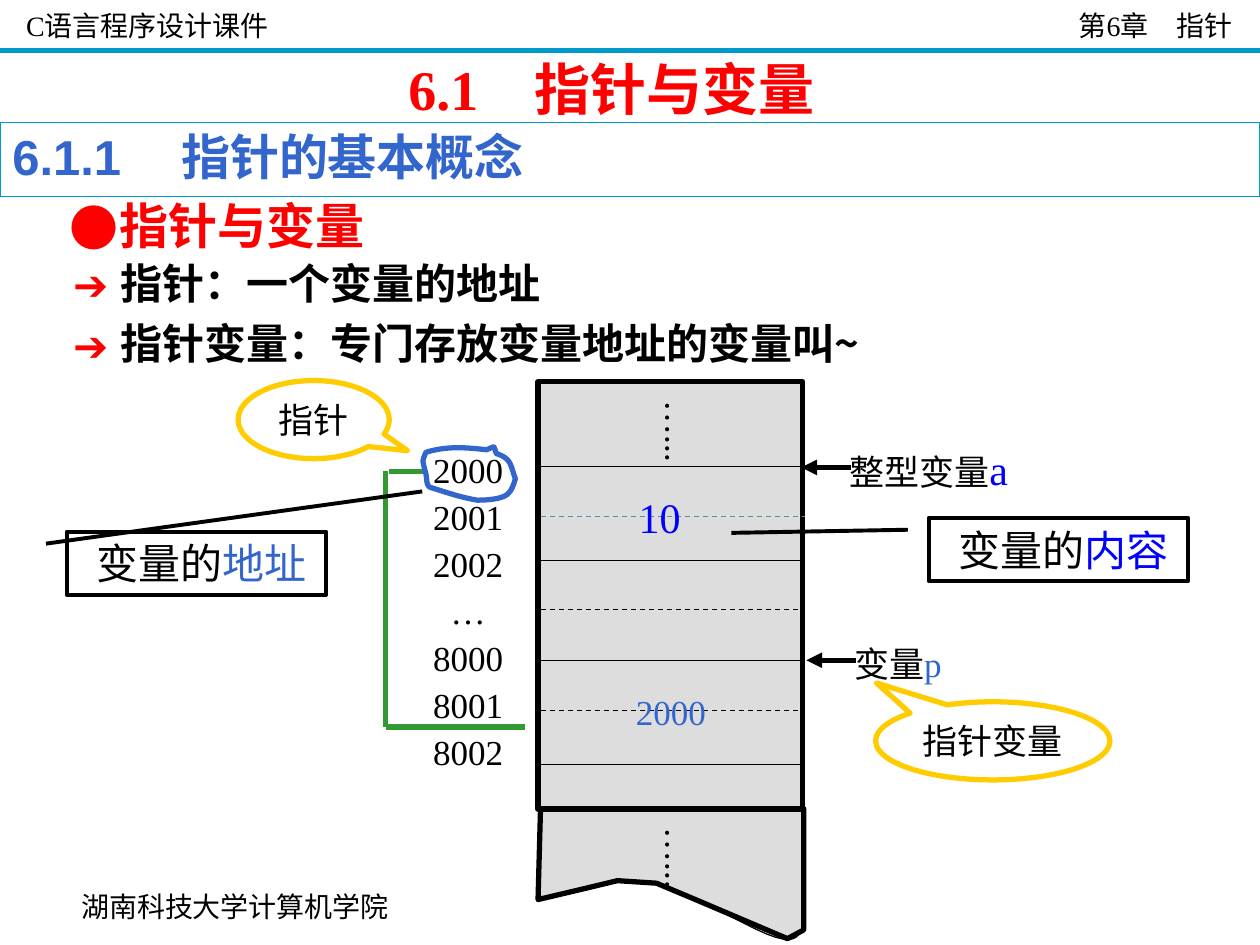
from lxml import etree
from pptx import Presentation
from pptx.dml.color import RGBColor
from pptx.enum.dml import MSO_LINE
from pptx.enum.shapes import MSO_CONNECTOR, MSO_SHAPE
from pptx.enum.text import MSO_ANCHOR, MSO_AUTO_SIZE, PP_ALIGN
from pptx.oxml.ns import qn
from pptx.util import Inches, Pt

LEFT, CENTER, RIGHT = PP_ALIGN.LEFT, PP_ALIGN.CENTER, PP_ALIGN.RIGHT
TOP, MIDDLE = MSO_ANCHOR.TOP, MSO_ANCHOR.MIDDLE
RECTANGLE = MSO_SHAPE.RECTANGLE
BALLOON = MSO_SHAPE.OVAL_CALLOUT
LINE_CALLOUT = MSO_SHAPE.LINE_CALLOUT_1
DASH = MSO_LINE.DASH

SERIF, SANS, CJK = "Times New Roman", "Arial", "Noto Sans CJK SC"
COLORS = {
    "black": "000000", "red": "FF0000", "blue": "0000FF", "accent": "3366CC",
    "rule": "0099CC", "steel": "5490A8", "memory": "DDDDDD",
    "balloon": "FFCC00", "bracket": "339933",
}


def color(name):
    return RGBColor.from_string(COLORS[name])


def bezier_points(start, curves, steps=10):
    """Sample a chain of cubic curves, each given as (control, control, end)."""
    points = [start]
    for first, second, end in curves:
        begin = points[-1]
        for step in range(1, steps + 1):
            t = step / steps
            weights = ((1 - t) ** 3, 3 * t * (1 - t) ** 2, 3 * t * t * (1 - t), t ** 3)
            corners = (begin, first, second, end)
            points.append(tuple(sum(w * corner[axis] for w, corner in zip(weights, corners))
                                for axis in (0, 1)))
    return points


class SlideBuilder:
    def __init__(self, slide):
        self.slide = slide
        self.shapes = slide.shapes

    def format_run(self, run, size, color_name, font=SERIF, bold=False):
        run.font.size = Pt(size)
        run.font.bold = bold
        run.font.name = font
        run.font.color.rgb = color(color_name)
        etree.SubElement(run.font._element, qn("a:ea")).set("typeface", CJK)

    def fill_text(self, shape, paragraphs, align=LEFT, anchor=MIDDLE, wrap=True,
                  bullet=None, indent=0.38, inset=0.1, top_inset=0.05):
        """Each paragraph is a list of (text, size, color, font, bold) runs."""
        frame = shape.text_frame
        frame.auto_size = MSO_AUTO_SIZE.NONE
        frame.word_wrap = wrap
        frame.vertical_anchor = anchor
        frame.margin_left, frame.margin_right = Inches(inset), Inches(0.1)
        frame.margin_top, frame.margin_bottom = Inches(top_inset), Inches(0.05)
        for index, runs in enumerate(paragraphs):
            paragraph = frame.add_paragraph() if index else frame.paragraphs[0]
            if bullet:
                self.add_bullet(paragraph, bullet, indent)
            paragraph.alignment = align
            paragraph.space_before = Pt(6 if index else 0)
            for text, *style in runs:
                run = paragraph.add_run()
                run.text = text
                self.format_run(run, *style)

    def add_bullet(self, paragraph, character, indent):
        properties = paragraph._p.get_or_add_pPr()
        properties.set("marL", str(Inches(indent)))
        properties.set("indent", str(-Inches(indent)))
        bullet_color = etree.SubElement(properties, qn("a:buClr"))
        etree.SubElement(bullet_color, qn("a:srgbClr")).set("val", COLORS["red"])
        etree.SubElement(properties, qn("a:buFont")).set("typeface", CJK)
        etree.SubElement(properties, qn("a:buChar")).set("char", character)

    def placeholder(self, index, left, top, width, height, paragraphs, **options):
        shape = self.slide.placeholders[index]
        shape.left, shape.top = Inches(left), Inches(top)
        shape.width, shape.height = Inches(width), Inches(height)
        self.fill_text(shape, paragraphs, **options)

    def text(self, left, top, width, height, runs, **options):
        shape = self.shapes.add_textbox(Inches(left), Inches(top), Inches(width), Inches(height))
        self.fill_text(shape, [runs], **options)
        return shape

    def vertical_text(self, *position, runs):
        shape = self.text(*position, runs, align=CENTER, wrap=False)
        shape.text_frame._txBody.bodyPr.set("vert", "eaVert")

    def paint(self, shape, line, weight, fill=None):
        shape.shadow.inherit = False
        if fill:
            shape.fill.solid()
            shape.fill.fore_color.rgb = color(fill)
        else:
            shape.fill.background()
        shape.line.color.rgb = color(line)
        shape.line.width = Pt(weight)

    def box(self, kind, left, top, width, height, line, weight,
            fill=None, runs=None, adjustments=(), **options):
        shape = self.shapes.add_shape(kind, Inches(left), Inches(top),
                                      Inches(width), Inches(height))
        for index, value in enumerate(adjustments):
            shape.adjustments[index] = value
        self.paint(shape, line, weight, fill)
        if runs:
            self.fill_text(shape, [runs], **options)

    def outline(self, points, line, weight, fill=None, close=True):
        points = [(Inches(x), Inches(y)) for x, y in points]
        builder = self.shapes.build_freeform(*points[0])
        builder.add_line_segments(points[1:], close=close)
        self.paint(builder.convert_to_shape(), line, weight, fill)

    def line(self, x1, y1, x2, y2, line="black", weight=0.75, dash=None, arrow=False):
        connector = self.shapes.add_connector(
            MSO_CONNECTOR.STRAIGHT, Inches(x1), Inches(y1), Inches(x2), Inches(y2))
        connector.line.color.rgb = color(line)
        connector.line.width = Pt(weight)
        if dash:
            connector.line.dash_style = dash
        if arrow:
            etree.SubElement(connector.line._get_or_add_ln(), qn("a:tailEnd")).set("type", "triangle")
        etree.SubElement(connector._element.spPr, qn("a:effectLst"))


def add_headings(builder):
    builder.line(0, 0.4, 10, 0.4, "rule", 3)
    builder.text(0.11, 0.02, 4, 0.36, [("C语言程序设计课件", 16, "black")])
    builder.text(5.88, 0.02, 4, 0.36, [("第6章　指针", 16, "black")], align=RIGHT)
    builder.text(0.45, 6.94, 2.83, 0.5, [("湖南科技大学计算机学院", 16, "black")],
                 align=CENTER, wrap=False)
    builder.placeholder(0, 3.14, 0.38, 4.56, 0.64,
                        [[("6.1　指针与变量", 32, "red", SERIF, True)]], anchor=TOP)
    builder.box(RECTANGLE, 0, 0.97, 10, 0.59, "rule", 0.75, top_inset=0,
                runs=[("6.1.1　 ", 28, "accent", SANS, True),
                      ("指针的基本概念", 28, "accent", CJK, True)])
    builder.text(0.45, 1.5, 8.78, 0.57, [("指针与变量", 28, "red", CJK, True)],
                 bullet="●", indent=0.4)
    definitions = ["指针：一个变量的地址", "指针变量：专门存放变量地址的变量叫~"]
    builder.placeholder(1, 0.48, 1.99, 7.42, 1.07,
                        [[(text, 24, "black", CJK, True)] for text in definitions],
                        anchor=TOP, bullet="➔")


def add_memory(builder):
    wave = bezier_points((4.27, 7.15), [
        ((4.55, 7.05), (4.82, 6.95), (5.14, 7)),
        ((5.45, 7.05), (5.95, 7.38), (6.16, 7.44)),
        ((6.37, 7.5), (6.34, 7.37), (6.37, 7.35))])
    builder.outline(wave, "black", 0.75, close=False)
    torn_end = [(4.29, 6.42), (6.38, 6.42), (6.38, 7.38), (6.25, 7.45), (5.52, 7.14),
                (5.21, 7.01), (4.9, 6.99), (4.65, 7.05), (4.27, 7.14)]
    builder.outline(torn_end, "black", 3, "memory")
    builder.box(RECTANGLE, 4.27, 3.03, 2.1, 3.39, "black", 3, "memory")
    for y in (3.7, 4.45, 5.24, 6.07):
        builder.line(4.29, y, 6.39, y)
    for y, name in ((4.1, "steel"), (4.84, "black"), (5.64, "black")):
        builder.line(4.29, y, 6.39, y, name, dash=DASH)
    for top in (3.08, 6.47):
        builder.vertical_text(5.13, top, 0.53, 0.59, runs=[("…...", 20, "black")])
    addresses = ["2000", "2001", "2002", "…", "8000", "8001", "8002"]
    for row, address in enumerate(addresses):
        builder.text(3.34, 3.51 + row * 0.372, 0.75, 0.44, [(address, 20, "black")],
                     align=CENTER, wrap=False)
    builder.text(4.97, 3.85, 0.53, 0.5, [("10", 24, "blue")], align=CENTER, wrap=False)
    builder.text(4.95, 5.43, 0.75, 0.44, [("2000", 20, "accent")], align=CENTER, wrap=False)


def add_annotations(builder):
    builder.line(6.75, 3.71, 6.36, 3.71, weight=3, arrow=True)
    builder.text(6.64, 3.47, 1.6, 0.5, [("整型变量", 20, "black"), ("a", 24, "blue")], anchor=TOP)
    builder.line(6.79, 5.24, 6.4, 5.24, weight=3, arrow=True)
    builder.text(6.68, 5.05, 1.05, 0.44, [("变量", 20, "black"), ("p", 20, "accent")], anchor=TOP)
    for left, top, width, label, tip in ((1.89, 3.02, 1.2, "指针", (0.621, 0.398)),
                                         (6.95, 5.57, 1.86, "指针变量", (-0.496, -0.741))):
        builder.box(BALLOON, left, top, width, 0.62, "balloon", 3, adjustments=tip,
                    runs=[(label, 20, "black")], align=CENTER, wrap=False)
    for ends in ((3.36, 3.74, 3.09, 3.74), (3.06, 3.74, 3.06, 5.77), (3.06, 5.77, 4.17, 5.77)):
        builder.line(*ends, "bracket", 3)
    address_ring = bezier_points((3.86, 3.57), [
        ((3.69, 3.55), (3.54, 3.54), (3.38, 3.59)), ((3.35, 3.67), (3.35, 3.64), (3.38, 3.76)),
        ((3.39, 3.8), (3.38, 3.86), (3.42, 3.87)), ((3.55, 3.91), (3.66, 3.95), (3.79, 3.97)),
        ((3.82, 3.97), (4, 3.97), (4.04, 3.91)), ((4.07, 3.88), (4.09, 3.8), (4.09, 3.8)),
        ((4.05, 3.69), (4.06, 3.64), (3.94, 3.6)), ((3.91, 3.53), (3.94, 3.54), (3.86, 3.57))])
    builder.outline(address_ring, "accent", 3)
    for left, top, word, name, tip in ((7.37, 4.11, "内容", "blue", (0.24, -0.76)),
                                       (0.53, 4.22, "地址", "accent", (-0.64, 1.37))):
        builder.box(LINE_CALLOUT, left, top, 2.06, 0.5, "black", 2.25,
                    adjustments=(0.19, -0.08, *tip), anchor=TOP, inset=0.24,
                    runs=[("变量的", 24, "black"), (word, 24, name)])


def main():
    presentation = Presentation()
    presentation.slide_width, presentation.slide_height = Inches(10), Inches(7.5)
    builder = SlideBuilder(presentation.slides.add_slide(presentation.slide_layouts[1]))
    add_headings(builder)
    add_memory(builder)
    add_annotations(builder)
    presentation.save("out.pptx")


if __name__ == "__main__":
    main()
